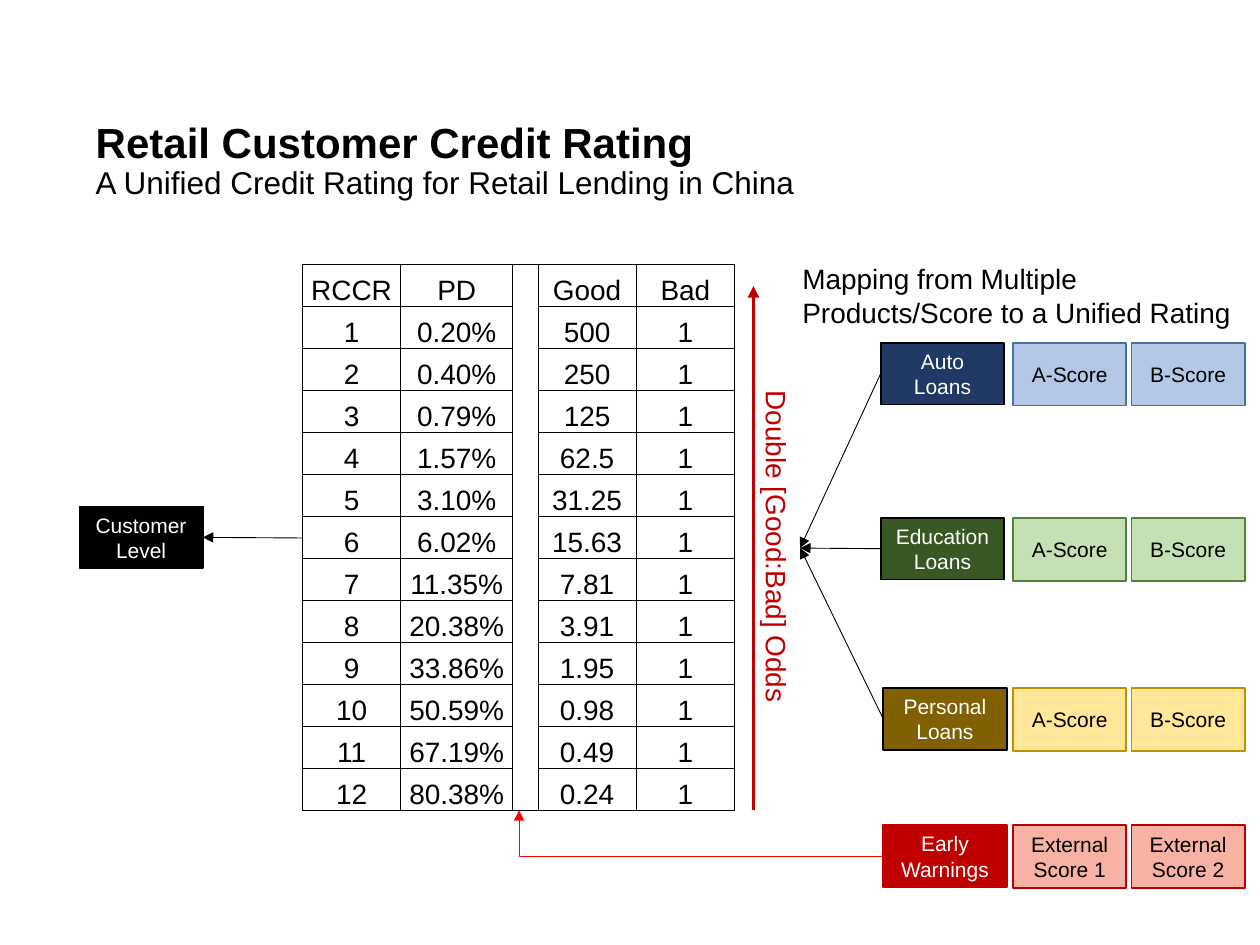
from lxml.etree import SubElement as Sub
from pptx import Presentation
from pptx.dml.color import RGBColor as Rgb
from pptx.enum.shapes import MSO_CONNECTOR as Conn, MSO_SHAPE as Form
from pptx.enum.text import MSO_ANCHOR as Anchor, MSO_AUTO_SIZE as Fit, PP_ALIGN as Align
from pptx.oxml.ns import qn
from pptx.util import Inches as In, Pt

HUE = {
    "black": "000000", "white": "FFFFFF", "red": "C00000", "alert": "FF0000", "rose": "F8B2A3",
    "navy": "203864", "blue": "43739E", "sky": "B4C7E7",
    "pine": "385723", "green": "548235", "mint": "C5E0B4",
    "brown": "806000", "gold": "BF9000", "cream": "FFE699",
}


def write(frame, lines, size, hue="black", **form):
    """Fill a text frame with one paragraph per line and format them all."""
    frame.text = "\n".join(lines)
    for par in frame.paragraphs:
        for key, val in form.items():
            setattr(par, key, val)
        par.font.name, par.font.size = "Arial", Pt(size)
        par.font.color.rgb = Rgb.from_string(HUE[hue])


def arrow(start, end, hue="black", width=0.5, kind=Conn.STRAIGHT):
    """Draw a connector with a triangle at its end."""
    link = slide.shapes.add_connector(kind, *[In(v) for v in (*start, *end)])
    link.line.color.rgb, link.line.width = Rgb.from_string(HUE[hue]), Pt(width)
    Sub(link.line._get_or_add_ln(), qn("a:tailEnd"), type="triangle")
    Sub(link._element.spPr, qn("a:effectLst"))
    return link


deck = Presentation()
deck.slide_width, deck.slide_height = In(10), In(7.5)
slide = deck.slides.add_slide(deck.slide_layouts[5])

# Title and subtitle
title = slide.shapes.title
spot = {"left": 0.66, "top": 0.92, "width": 8.98, "height": 0.42}
for key, val in spot.items():
    setattr(title, key, In(val))
frame = title.text_frame
frame.auto_size, frame.vertical_anchor = Fit.NONE, Anchor.TOP
write(frame, ["Retail Customer Credit Rating", "A Unified Credit Rating for Retail Lending in China"],
      24, alignment=Align.LEFT, line_spacing=0.9)
head, sub = frame.paragraphs
head.font.bold, sub.font.bold, sub.font.size = True, False, Pt(18)

# Rating table with a merged gap column
risk = ["0.20%", "0.40%", "0.79%", "1.57%", "3.10%", "6.02%", "11.35%",
        "20.38%", "33.86%", "50.59%", "67.19%", "80.38%"]
good = ["500", "250", "125", "62.5", "31.25", "15.63", "7.81", "3.91", "1.95", "0.98", "0.49", "0.24"]
rows = [("RCCR", "PD", "", "Good", "Bad")]
rows += [(str(n), pd, "", odds, "1") for n, (pd, odds) in enumerate(zip(risk, good), 1)]
wide = [0.78, 0.89, 0.2, 0.78, 0.78]
left, top, high = 2.4, 2.1, 4.33
base = top + high
grid = slide.shapes.add_table(len(rows), len(wide), In(left), In(top), In(sum(wide)), In(high)).table
grid.first_row = grid.horz_banding = False
for col, size in zip(grid.columns, wide):
    col.width = In(size)
pad = {"margin_left": In(0.01), "margin_right": In(0.01), "margin_top": In(0.01),
       "margin_bottom": 0, "vertical_anchor": Anchor.BOTTOM}
for r, row in enumerate(rows):
    grid.rows[r].height = In(high / len(rows))
    for c, word in enumerate(row):
        cell = grid.cell(r, c)
        for key, val in pad.items():
            setattr(cell, key, val)
        write(cell.text_frame, [word], 16, alignment=Align.CENTER)
        for side in ("lnL", "lnR", "lnT", "lnB"):
            edge = Sub(cell._tc.get_or_add_tcPr(), qn("a:" + side), w=str(Pt(0.5)))
            Sub(Sub(edge, qn("a:solidFill")), qn("a:srgbClr"), val=HUE["black"])
        cell.fill.background()
grid.cell(0, 2).merge(grid.cell(len(rows) - 1, 2))

# Odds arrow and free text
arrow((5.98, base), (5.98, 2.27), "red", 2.25)
notes = [
    (4.81, 4.17, 2.71, 0.37, 90, "red", ["Double [Good:Bad] Odds"]),
    (6.27, 2.03, 3.64, 0.64, 0, "black", ["Mapping from Multiple", "Products/Score to a Unified Rating"]),
]
for *area, turn, hue, lines in notes:
    note = slide.shapes.add_textbox(*[In(v) for v in area])
    note.rotation = turn
    note.text_frame.word_wrap, note.text_frame.auto_size = False, Fit.SHAPE_TO_FIT_TEXT
    write(note.text_frame, lines, 16, hue)

# Boxes: one lead box per row, most with two score boxes
score = ["A-Score", "B-Score"]
bands = [
    (6.99, 2.72, "Auto Loans", "navy", "black", score, "sky", "blue"),
    (6.99, 4.11, "Education Loans", "pine", "black", score, "mint", "green"),
    (7.01, 5.46, "Personal Loans", "brown", "black", score, "cream", "gold"),
    (7.01, 6.55, "Early Warnings", "red", "red", ["External Score 1", "External Score 2"], "rose", "red"),
    (0.63, 4.02, "Customer Level", "black", "black", [], "", ""),
]
leads = []
for x, y, name, fill, rim, parts, tint, trim in bands:
    cells = [(x, 0.98, 0.49, name, fill, rim, "white")]
    cells += [(8.04 + 0.94 * n, 0.9, 0.5, part, tint, trim, "black") for n, part in enumerate(parts)]
    made = []
    for cx, w, h, word, back, line, ink in cells:
        box = slide.shapes.add_shape(Form.RECTANGLE, In(cx), In(y), In(w), In(h))
        box.shadow.inherit = False
        box.fill.solid()
        box.fill.fore_color.rgb = Rgb.from_string(HUE[back])
        box.line.color.rgb, box.line.width = Rgb.from_string(HUE[line]), Pt(1)
        box.text_frame.word_wrap, box.text_frame.vertical_anchor = True, Anchor.MIDDLE
        write(box.text_frame, [word], 12, ink, alignment=Align.CENTER)
        made.append(box)
    leads.append(made[0])

# Products lead to the rating, the rating to the customer
hub = (6.35, 4.35)
for lead in leads[:3]:
    arrow(hub, hub).begin_connect(lead, 1)
arrow((left, 4.27), (1.61, 4.27)).end_connect(leads[4], 3)

# Warnings bend up into the foot of the table
bend = arrow((4.12, base), (7.01, 6.8), "alert", kind=Conn.ELBOW)
bend._element.spPr.prstGeom.set("prst", "bentConnector2")
bend._element.spPr.xfrm.set("rot", str(180 * 60000))

deck.save("out.pptx")
